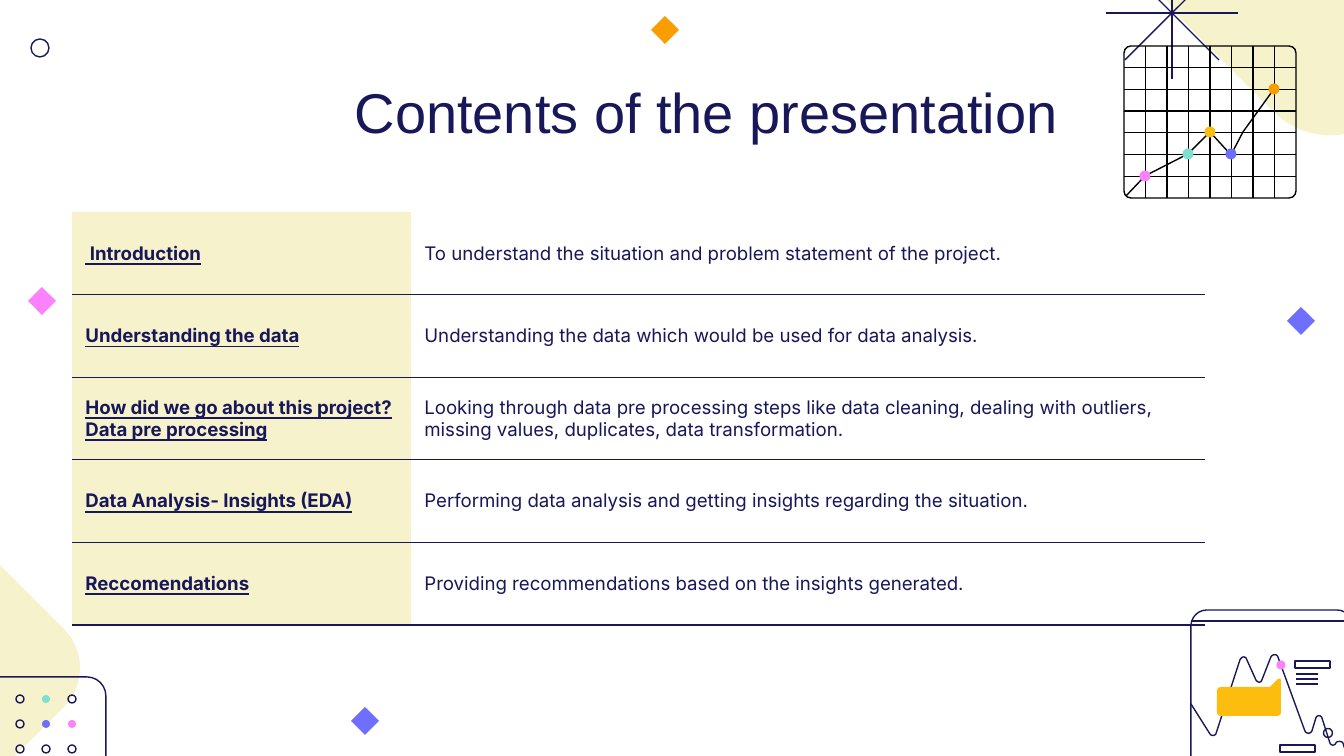
from itertools import product
from typing import NamedTuple, Optional

from lxml import etree
from pptx import Presentation
from pptx.dml.color import RGBColor
from pptx.enum.shapes import MSO_CONNECTOR, MSO_SHAPE
from pptx.enum.text import MSO_ANCHOR, MSO_AUTO_SIZE, PP_ALIGN
from pptx.oxml.ns import qn
from pptx.slide import Slide
from pptx.util import Pt

EMU_PER_PX = 914400 / 134.4
CURVE_STEPS = 8
LINE_WIDTH = Pt(0.75)
PLAIN_TABLE_STYLE = "{2D5ABB26-0587-4C30-8999-92F81FD0307C}"
TOP, BOTTOM = 0, 2
OVAL, DIAMOND = MSO_SHAPE.OVAL, MSO_SHAPE.DIAMOND
RECTANGLE, ROUNDED = MSO_SHAPE.RECTANGLE, MSO_SHAPE.ROUNDED_RECTANGLE
STRAIGHT = MSO_CONNECTOR.STRAIGHT
COLORS = {
    "navy": "17175A", "black": "000000", "cream": "F6F2CC", "pink": "FC81FD",
    "violet": "6E6FFF", "orange": "FA9D02", "yellow": "FCBD0E", "teal": "7CE1CF",
}


class Box(NamedTuple):
    left: float
    top: float
    width: float
    height: float


class Mark(NamedTuple):
    x: float
    y: float
    size: int
    fill: Optional[str] = None
    kind: MSO_SHAPE = OVAL


class Topic(NamedTuple):
    heading: str
    summary: str


TOPICS = [
    Topic(" Introduction", "To understand the situation and problem statement of the project."),
    Topic("Understanding the data", "Understanding the data which would be used for data analysis."),
    Topic("How did we go about this project? Data pre processing",
          "Looking through data pre processing steps like data cleaning, dealing with outliers, "
          "missing values, duplicates, data transformation."),
    Topic("Data Analysis- Insights (EDA)",
          "Performing data analysis and getting insights regarding the situation."),
    Topic("Reccomendations", "Providing recommendations based on the insights generated."),
]
ACCENTS = [
    Mark(42, 301, 28, "pink", DIAMOND), Mark(365, 721, 28, "violet", DIAMOND),
    Mark(665, 30, 28, "orange", DIAMOND), Mark(1301, 321, 28, "violet", DIAMOND),
    Mark(40, 48, 18),
]
TREND_MARKS = [
    Mark(1274, 89, 11, "orange"), Mark(1210, 132, 11, "yellow"), Mark(1231, 154, 11, "violet"),
    Mark(1188, 154, 11, "teal"), Mark(1145, 176, 11, "pink"),
]
DOT_FILLS = {(1, 0): "teal", (1, 1): "violet", (2, 1): "pink"}
CORNER_BLOB = [
    (-27, 544), (-19, 547, -12, 551, -7, 558), (63, 628), (86, 649, 86, 687, 63, 708),
    (-7, 778), (-12, 785, -19, 789, -27, 792),
]
WAVE = [
    (1191, 704), (1210, 734), (1211, 736, 1215, 736, 1216, 734),
    (1240, 660), (1242, 656, 1246, 656, 1247, 660),
    (1256, 680), (1258, 683, 1261, 683, 1262, 680),
    (1271, 657), (1273, 654, 1277, 654, 1278, 657),
    (1305, 731), (1306, 734, 1311, 734, 1312, 731),
    (1316, 718), (1317, 715, 1321, 715, 1322, 718),
    (1330, 743), (1331, 746, 1335, 746, 1336, 743),
    (1337, 741, 1342, 741, 1343, 743), (1353, 774),
]
CALLOUT = [
    (1277, 680), (1270, 687), (1222, 687), (1219, 687, 1217, 689, 1217, 691),
    (1217, 712), (1217, 715, 1219, 716, 1222, 716), (1277, 716),
    (1279, 716, 1281, 715, 1281, 712), (1281, 681), (1281, 678, 1279, 678, 1277, 680),
]
TREND = [(1126, 196), (1145, 176), (1188, 154), (1210, 132), (1231, 155), (1243, 132), (1274, 89)]


def px(length: float) -> int:
    return round(length * EMU_PER_PX)


def rgb(name: str) -> RGBColor:
    return RGBColor.from_string(COLORS[name])


def paint(shape, fill: Optional[str], line: str = "navy") -> None:
    shape.shadow.inherit = False
    if fill:
        shape.fill.solid()
        shape.fill.fore_color.rgb = rgb(fill)
        shape.line.fill.background()
    else:
        shape.fill.background()
        shape.line.color.rgb = rgb(line)
        shape.line.width = LINE_WIDTH


def draw_box(slide: Slide, kind: MSO_SHAPE, box: Box, fill: Optional[str] = None,
             line: str = "navy", radius: float = 0):
    shape = slide.shapes.add_shape(kind, *map(px, box))
    if radius:
        shape.adjustments[0] = radius / min(box.width, box.height)
    paint(shape, fill, line)
    return shape


def draw_mark(slide: Slide, mark: Mark) -> None:
    half = mark.size / 2
    draw_box(slide, mark.kind, Box(mark.x - half, mark.y - half, mark.size, mark.size), mark.fill)


def draw_line(slide: Slide, x1: float, y1: float, x2: float, y2: float, color: str = "navy"):
    connector = slide.shapes.add_connector(STRAIGHT, px(x1), px(y1), px(x2), px(y2))
    connector.line.color.rgb = rgb(color)
    connector.line.width = LINE_WIDTH
    etree.SubElement(connector._element.spPr, qn("a:effectLst"))
    return connector


def flatten(segments: list) -> list:
    points = [segments[0]]
    for segment in segments[1:]:
        if len(segment) == 2:
            points.append(segment)
            continue
        start, first, second, end = points[-1], segment[:2], segment[2:4], segment[4:]
        for step in range(1, CURVE_STEPS + 1):
            t = step / CURVE_STEPS
            u = 1 - t
            points.append(tuple(
                u**3 * a + 3 * u * u * t * b + 3 * u * t * t * c + t**3 * d
                for a, b, c, d in zip(start, first, second, end)))
    return [(px(x), px(y)) for x, y in points]


def draw_outline(slide: Slide, segments: list, fill: Optional[str] = None, line: str = "navy") -> None:
    points = flatten(segments)
    builder = slide.shapes.build_freeform(*points[0])
    builder.add_line_segments(points[1:], close=bool(fill))
    paint(builder.convert_to_shape(), fill, line)


def format_text(paragraph, **values) -> None:
    for name, value in values.items():
        setattr(paragraph.font, name, value)
    paragraph.font.color.rgb = rgb("navy")


def draw_title(slide: Slide) -> None:
    title = slide.shapes.title
    for name, value in zip(("left", "top", "width", "height"), (140, 59, 1133, 85)):
        setattr(title, name, px(value))
    frame = title.text_frame
    frame.text = "Contents of the presentation"
    values = {"auto_size": MSO_AUTO_SIZE.NONE, "vertical_anchor": MSO_ANCHOR.TOP, "margin_top": px(19)}
    for name, value in values.items():
        setattr(frame, name, value)
    frame.paragraphs[0].alignment = PP_ALIGN.CENTER
    format_text(frame.paragraphs[0], name="Arial", size=Pt(30))


def underline_cell(cell) -> None:
    border = etree.Element(qn("a:lnB"), w=str(LINE_WIDTH))
    fill = etree.SubElement(border, qn("a:solidFill"))
    etree.SubElement(fill, qn("a:srgbClr"), val=COLORS["navy"])
    cell._tc.get_or_add_tcPr().insert(0, border)


def draw_topics(slide: Slide) -> None:
    frame = slide.shapes.add_table(len(TOPICS), 2, px(72), px(212), px(1133), px(413))
    table = frame.table
    table.first_row = table.horz_banding = False
    table._tbl.tblPr.find(qn("a:tableStyleId")).text = PLAIN_TABLE_STYLE
    for column, width in zip(table.columns, (339, 794)):
        column.width = px(width)
    for row, topic in zip(table.rows, TOPICS):
        for cell, text, is_heading in zip(row.cells, topic, (True, False)):
            cell.text = text
            cell.vertical_anchor = MSO_ANCHOR.MIDDLE
            cell.margin_top = cell.margin_bottom = 0
            paragraph = cell.text_frame.paragraphs[0]
            format_text(paragraph, name="Inter", size=Pt(10), bold=is_heading, underline=is_heading)
            if is_heading:
                cell.fill.solid()
                cell.fill.fore_color.rgb = rgb("cream")
            else:
                cell.fill.background()
                paragraph.space_after = Pt(16)
            underline_cell(cell)


def draw_backdrop(slide: Slide) -> None:
    draw_box(slide, ROUNDED, Box(1185, -182, 290, 290), "cream", radius=79).rotation = 45
    draw_outline(slide, CORNER_BLOB, "cream")
    x, y = 1172, 13
    for dx, dy in ((0, 66), (66, 0), (47, -47), (47, 47)):
        draw_line(slide, x - dx, y - dy, x + dx, y + dy)
    for mark in ACCENTS:
        draw_mark(slide, mark)


def draw_report_card(slide: Slide) -> None:
    for left, top in ((1295, 661), (1280, 745)):
        draw_box(slide, RECTANGLE, Box(left, top, 35, 7))
    for y in (674, 679, 684):
        draw_line(slide, 1296, y, 1318, y)
    draw_box(slide, ROUNDED, Box(1191, 610, 162, 181), radius=16)
    draw_outline(slide, WAVE)
    draw_mark(slide, Mark(1281, 665, 9, "pink"))
    draw_mark(slide, Mark(1328, 733, 9))
    draw_outline(slide, CALLOUT, "yellow")
    draw_line(slide, 1191, 621, 1353, 621)


def draw_dot_card(slide: Slide) -> None:
    draw_box(slide, ROUNDED, Box(-39, 677, 145, 122), radius=19)
    for row, column in product(range(3), repeat=2):
        draw_mark(slide, Mark(20 + 26 * column, 699 + 25 * row, 8, DOT_FILLS.get((column, row))))


def draw_trend_card(slide: Slide) -> None:
    box, columns, rows = Box(1124, 46, 172, 152), 8, 7
    right, bottom = box.left + box.width, box.top + box.height
    card = draw_box(slide, ROUNDED, box, line="black", radius=7)
    for index in range(1, rows):
        y = box.top + box.height * index / rows
        draw_line(slide, box.left, y, right, y, "black")
    for index in range(1, columns):
        x = box.left + box.width * index / columns
        line = draw_line(slide, x, box.top, x, bottom, "black")
        if 2 * index == columns:
            line.begin_connect(card, TOP)
            line.end_connect(card, BOTTOM)
    draw_outline(slide, TREND, line="black")
    for mark in TREND_MARKS:
        draw_mark(slide, mark)


def main() -> None:
    presentation = Presentation()
    presentation.slide_width, presentation.slide_height = px(1344), px(756)
    slide = presentation.slides.add_slide(presentation.slide_layouts.get_by_name("Title Only"))
    for draw in (draw_backdrop, draw_title, draw_topics, draw_report_card, draw_dot_card, draw_trend_card):
        draw(slide)
    presentation.save("out.pptx")


if __name__ == "__main__":
    main()
